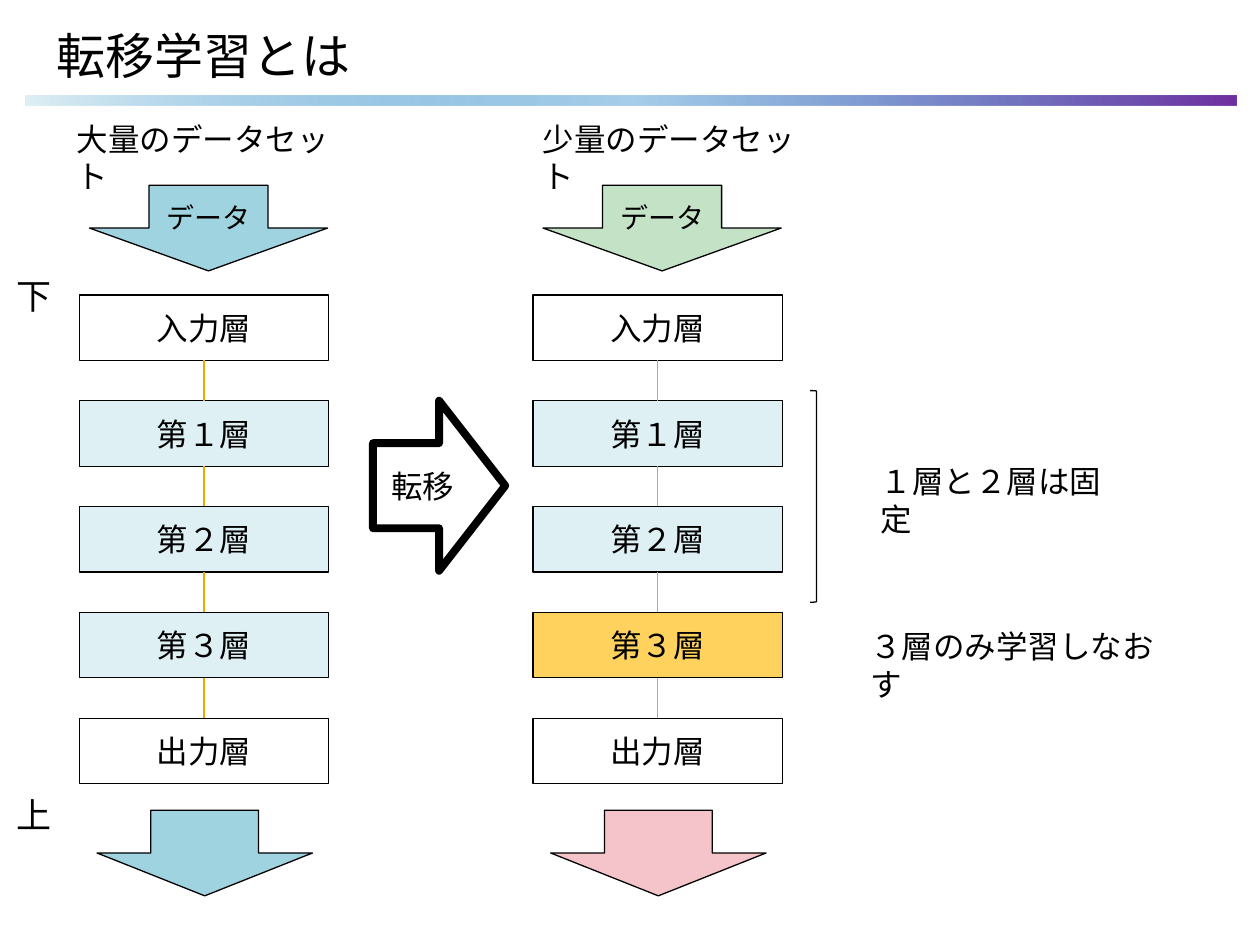
from lxml.etree import SubElement
from pptx import Presentation
from pptx.dml.color import RGBColor
from pptx.enum.shapes import MSO_CONNECTOR, MSO_SHAPE
from pptx.enum.text import MSO_ANCHOR, PP_ALIGN
from pptx.oxml import parse_xml
from pptx.oxml.ns import nsdecls, qn
from pptx.util import Inches, Pt

BLACK = RGBColor(0x00, 0x00, 0x00)
WHITE = RGBColor(0xFF, 0xFF, 0xFF)
PALE_BLUE = RGBColor(0xDF, 0xF0, 0xF5)
AQUA = RGBColor(0xA0, 0xD3, 0xE0)
GREEN = RGBColor(0xC4, 0xE2, 0xC5)
PINK = RGBColor(0xF5, 0xC4, 0xCB)
YELLOW = RGBColor(0xFF, 0xD2, 0x5D)
GOLD = RGBColor(0xEB, 0xA9, 0x00)
DEEP_BLUE = RGBColor(0x00, 0x70, 0xC0)
PURPLE = RGBColor(0x70, 0x30, 0xA0)

FONT = "Times New Roman"
COLUMN_LEFT, COLUMN_PITCH = 0.63, 3.6
ROW_TOP, ROW_PITCH = 2.34, 0.84
BOX_WIDTH, BOX_HEIGHT = 1.98, 0.52
ARROW_HEIGHT = 0.68
LAYERS = ["入力層", "第１層", "第２層", "第３層", "出力層"]


def column_left(column):
    """Return the left edge of a network column in inches."""
    return COLUMN_LEFT + column * COLUMN_PITCH


def row_top(row):
    """Return the top edge of a layer row in inches."""
    return ROW_TOP + row * ROW_PITCH


def write_text(frame, text, size=18, align=PP_ALIGN.LEFT, anchor=MSO_ANCHOR.TOP):
    """Put one formatted paragraph into a text frame."""
    frame.word_wrap = True
    frame.vertical_anchor = anchor
    para = frame.paragraphs[0]
    para.alignment = align
    span = para.add_run()
    span.text = text
    span.font.name = FONT
    span.font.size = Pt(size)
    span.font.color.rgb = BLACK


def add_label(page, left, top, width, height, text, **text_format):
    """Add a text box."""
    label = page.shapes.add_textbox(*map(Inches, (left, top, width, height)))
    write_text(label.text_frame, text, **text_format)


def add_figure(page, kind, left, top, width, height, fill=None, line_width=0.75, text="", size=18):
    """Add an outlined preset shape with optional fill and centred text."""
    figure = page.shapes.add_shape(kind, *map(Inches, (left, top, width, height)))
    figure.shadow.inherit = False
    if fill is None:
        figure.fill.background()
    else:
        figure.fill.solid()
        figure.fill.fore_color.rgb = fill
    figure.line.color.rgb = BLACK
    figure.line.width = Pt(line_width)
    if text:
        write_text(figure.text_frame, text, size=size, align=PP_ALIGN.CENTER, anchor=MSO_ANCHOR.MIDDLE)
    return figure


def add_link(page, upper, lower):
    """Join the bottom of one layer to the top of the next."""
    link = page.shapes.add_connector(MSO_CONNECTOR.STRAIGHT, 0, 0, 0, 0)
    link.begin_connect(upper, 2)
    link.end_connect(lower, 0)
    link.line.color.rgb = GOLD
    link.line.width = Pt(0.75)
    SubElement(link._element.spPr, qn("a:effectLst"))


def add_title_bar(page):
    """Add the gradient bar under the title."""
    bar = page.shapes.add_shape(MSO_SHAPE.RECTANGLE, *map(Inches, (0.2, 0.76, 9.61, 0.08)))
    bar.shadow.inherit = False
    bar.line.fill.background()
    stops = "".join(
        f'<a:gs pos="{share * 1000}"><a:srgbClr val="{color}"><a:alpha val="{alpha * 1000}"/></a:srgbClr></a:gs>'
        for share, color, alpha in [(0, PALE_BLUE, 100), (50, DEEP_BLUE, 34), (100, PURPLE, 100)]
    )
    gradient = parse_xml(
        f'<a:gradFill {nsdecls("a")} rotWithShape="1"><a:gsLst>{stops}</a:gsLst>'
        '<a:lin ang="0" scaled="1"/></a:gradFill>'
    )
    bar._element.spPr.find(qn("a:prstGeom")).addnext(gradient)


def add_network(page, column, fills, data_fill, result_fill):
    """Add a column of linked layers with its data and result arrows."""
    left = column_left(column)
    boxes = [
        add_figure(page, MSO_SHAPE.RECTANGLE, left, row_top(row), BOX_WIDTH, BOX_HEIGHT, fill=fill, text=name)
        for row, (name, fill) in enumerate(zip(LAYERS, fills))
    ]
    add_figure(page, MSO_SHAPE.DOWN_ARROW, left + 0.14, 6.43, 1.71, ARROW_HEIGHT, fill=result_fill)
    add_figure(page, MSO_SHAPE.DOWN_ARROW, left + 0.08, 1.47, 1.89, ARROW_HEIGHT,
               fill=data_fill, text="データ", size=16)
    for upper, lower in zip(boxes, boxes[1:]):
        add_link(page, upper, lower)


def main():
    """Build the transfer learning slide."""
    deck = Presentation()
    deck.slide_width, deck.slide_height = Inches(10), Inches(7.5)
    page = deck.slides.add_slide(deck.slide_layouts[6])

    add_title_bar(page)
    add_label(page, 0.35, 0.13, 9.15, 0.61, "転移学習とは", size=28, anchor=MSO_ANCHOR.MIDDLE)

    add_network(page, 0, [WHITE, PALE_BLUE, PALE_BLUE, PALE_BLUE, WHITE], AQUA, AQUA)
    add_network(page, 1, [None, PALE_BLUE, PALE_BLUE, YELLOW, None], GREEN, PINK)

    add_label(page, 0.51, 0.9, 2.22, 0.4, "大量のデータセット")
    add_label(page, 4.21, 0.9, 2.22, 0.4, "少量のデータセット")
    add_figure(page, MSO_SHAPE.RIGHT_BRACKET, 6.43, row_top(1) - 0.08, 0.05, 2 * ROW_PITCH)
    add_label(page, 6.89, 3.62, 2, 0.4, "１層と２層は固定")
    add_label(page, 6.81, 4.93, 2.54, 0.4, "３層のみ学習しなおす")
    add_figure(page, MSO_SHAPE.RIGHT_ARROW, 2.96, row_top(1), 1.05, 1.35, line_width=4.5, text="転移")
    for text, top in [("上", 6.25), ("下", 2.13)]:
        add_label(page, 0.03, top, 0.48, 0.44, text, size=20)

    deck.save("out.pptx")


if __name__ == "__main__":
    main()
